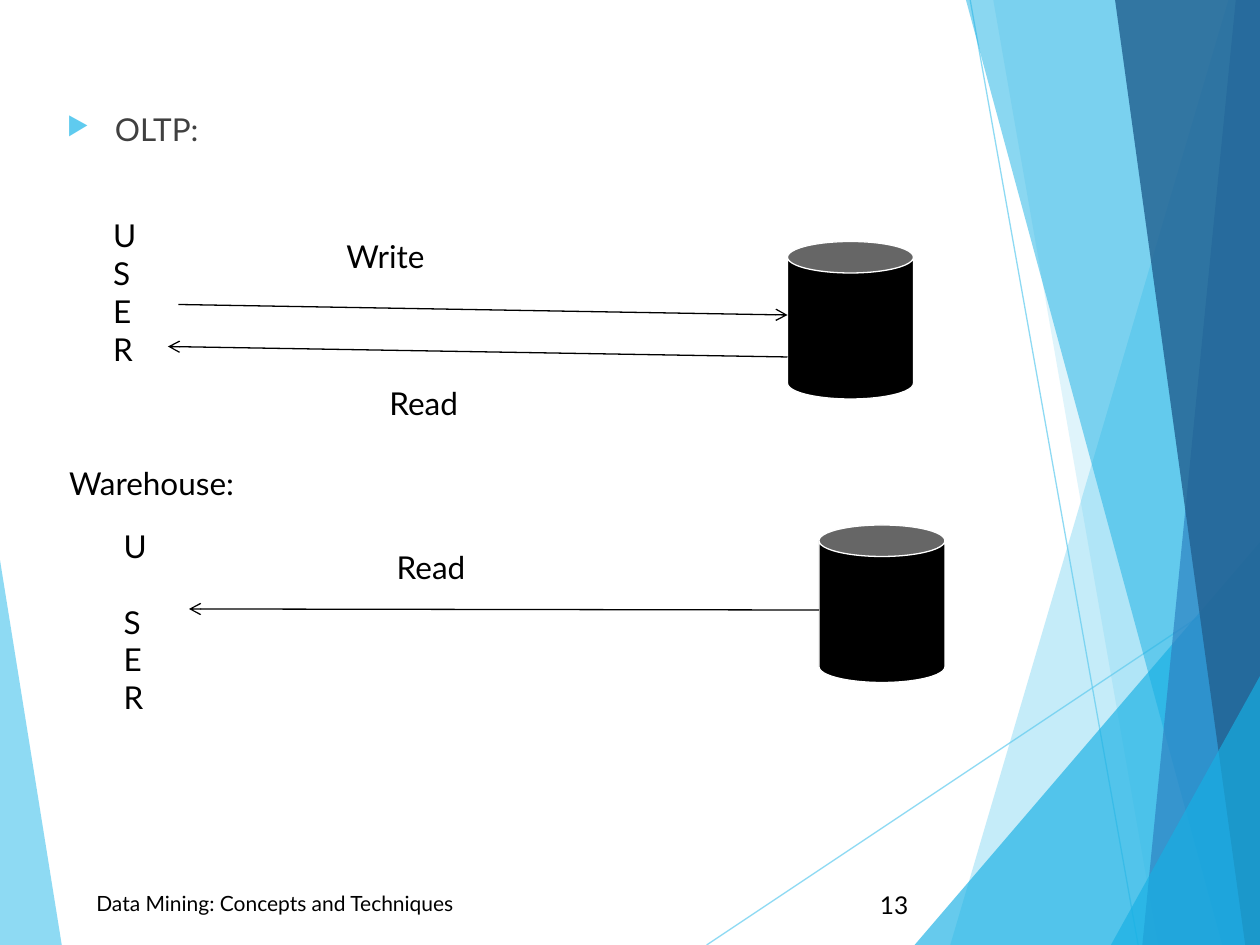
from lxml.etree import SubElement
from pptx import Presentation
from pptx.dml.color import RGBColor
from pptx.enum.shapes import MSO_CONNECTOR, MSO_SHAPE
from pptx.enum.text import MSO_ANCHOR, MSO_AUTO_SIZE, PP_ALIGN
from pptx.oxml.ns import qn
from pptx.util import Inches, Pt

COLS, ROWS = 120, 90
EDGE = 120.1
FOOT = [(EDGE, ROWS)]
SIDE = FOOT + [(EDGE, 0)]

PANELS = [
    ("5FCBEF", 36, [(117, 0), (90.5, 90)] + SIDE),
    ("5FCBEF", 20, [(94.6, 0), (110.3, 90)] + SIDE),
    ("17B0E4", 66, [(87.1, 90), (EDGE, 51.5)] + FOOT),
    ("17B0E4", 50, [(92, 0), (116.4, 90)] + SIDE),
    ("2E83C3", 70, [(117.7, 0), (108.8, 90)] + SIDE),
    ("236292", 82, [(106.2, 0), (118.6, 90)] + SIDE),
    ("17B0E4", 66, [(105.8, 90), (EDGE, 64.2)] + FOOT),
]


def rgb(value):
    return RGBColor.from_string(value)


def assign(obj, values):
    for name, value in values.items():
        setattr(obj, name, value)


class Deck:
    font = "Lato"
    ink = "000000"
    size = 18

    def __init__(self):
        self.prs = Presentation()
        assign(self.prs, {"slide_width": Inches(10), "slide_height": Inches(7.5)})
        self.s = self.prs.slides.add_slide(self.prs.slide_layouts[6])

    def x(self, col):
        return round(self.prs.slide_width * col / COLS)

    def y(self, row):
        return round(self.prs.slide_height * row / ROWS)

    def box(self, col, row, cols, rows):
        return self.x(col), self.y(row), self.x(cols), self.y(rows)

    def set_alpha(self, fill, percent):
        color = fill._xPr.find(qn("a:solidFill"))[0]
        SubElement(color, qn("a:alpha"), val=str(percent * 1000))

    def panel(self, color, alpha, points):
        pts = [(self.x(c), self.y(r)) for c, r in points]
        builder = self.s.shapes.build_freeform(*pts[0])
        builder.add_line_segments(pts[1:], close=True)
        sp = builder.convert_to_shape()
        sp.shadow.inherit = False
        sp.fill.solid()
        sp.fill.fore_color.rgb = rgb(color)
        self.set_alpha(sp.fill, alpha)
        sp.line.fill.background()

    def line(self, start, end, color=None, alpha=100, arrow=False):
        sp = self.s.shapes.add_connector(
            MSO_CONNECTOR.STRAIGHT,
            self.x(start[0]), self.y(start[1]), self.x(end[0]), self.y(end[1]))
        sp.line.width = Pt(0.75)
        sp.line.color.rgb = rgb(color or self.ink)
        self.set_alpha(sp.line.fill, alpha)
        if arrow:
            SubElement(sp.line._get_or_add_ln(), qn("a:tailEnd"), type="arrow")
        SubElement(sp._element.spPr, qn("a:effectLst"))

    def database(self, col, row):
        sp = self.s.shapes.add_shape(MSO_SHAPE.CAN, *self.box(col, row, 12, 15))
        sp.shadow.inherit = False
        sp.adjustments[0] = 0.25
        sp.fill.solid()
        sp.fill.fore_color.rgb = rgb(self.ink)
        sp.line.color.rgb = rgb("FFFFFF")
        sp.line.width = Pt(0.75)

    def text(self, lines, area, size=None, color=None, frame=None, para=None):
        tf = self.s.shapes.add_textbox(*self.box(*area)).text_frame
        assign(tf, frame or {"word_wrap": False,
                             "auto_size": MSO_AUTO_SIZE.SHAPE_TO_FIT_TEXT})
        for i, line in enumerate(lines):
            p = tf.paragraphs[0] if i == 0 else tf.add_paragraph()
            assign(p, para or {})
            r = p.add_run()
            r.text = line
            assign(r.font, {"name": self.font, "size": Pt(size or self.size)})
            r.font.color.rgb = rgb(color or self.ink)
        return tf

    def bullet(self, text, area):
        tf = self.text([text], area, color="404040",
                       frame={"word_wrap": True}, para={"line_spacing": 0.9})
        pPr = tf.paragraphs[0]._p.get_or_add_pPr()
        pPr.set("marL", str(Inches(0.38)))
        pPr.set("indent", str(-Inches(0.38)))
        SubElement(SubElement(pPr, qn("a:buClr")), qn("a:srgbClr"), val="5FCBEF")
        SubElement(pPr, qn("a:buSzPct"), val="80000")
        SubElement(pPr, qn("a:buChar"), char="▶")

    def footer(self, text, area, size, align):
        self.text([text], area, size, para={"alignment": align},
                  frame={"word_wrap": True, "vertical_anchor": MSO_ANCHOR.MIDDLE})


def main():
    deck = Deck()
    deck.panel("5FCBEF", 70, [(-0.1, 52.7), (5.9, 90.1), (-0.1, 90)])
    deck.line((67.3, 90), (EDGE, 54.8), "5FCBEF", 70)
    deck.line((92.4, 0), (108.4, 90), "5FCBEF", 70)
    for panel in PANELS:
        deck.panel(*panel)

    deck.bullet("OLTP:", (5.2, 10.3, 103, 61))
    deck.footer("Data Mining: Concepts and Techniques",
                (8, 83.6, 60.7, 4.8), 12, PP_ALIGN.LEFT)
    deck.footer("13", (81, 83.8, 6.7, 4.8), 14, PP_ALIGN.RIGHT)

    deck.database(78, 50)
    deck.database(75, 23)
    deck.text("USER", (9.6, 20, 4.5, 15.6))
    warehouse_user = deck.text("USER", (10.6, 49.6, 4.5, 15.6))
    warehouse_user.paragraphs[1].space_before = Pt(21.6)

    for label, area in [
        ("Write", (31.8, 22, 10, 4.8)),
        ("Read", (35.9, 36, 9.5, 4.8)),
        ("Warehouse:", (5.4, 43.6, 19.2, 4.8)),
        ("Read", (36.6, 51.6, 9.5, 4.8)),
    ]:
        deck.text([label], area)

    for start, end in [((17, 29), (75, 30)), ((75, 34), (16, 33)),
                       ((78, 58.1), (18, 58))]:
        deck.line(start, end, arrow=True)

    deck.prs.save("out.pptx")


if __name__ == "__main__":
    main()
